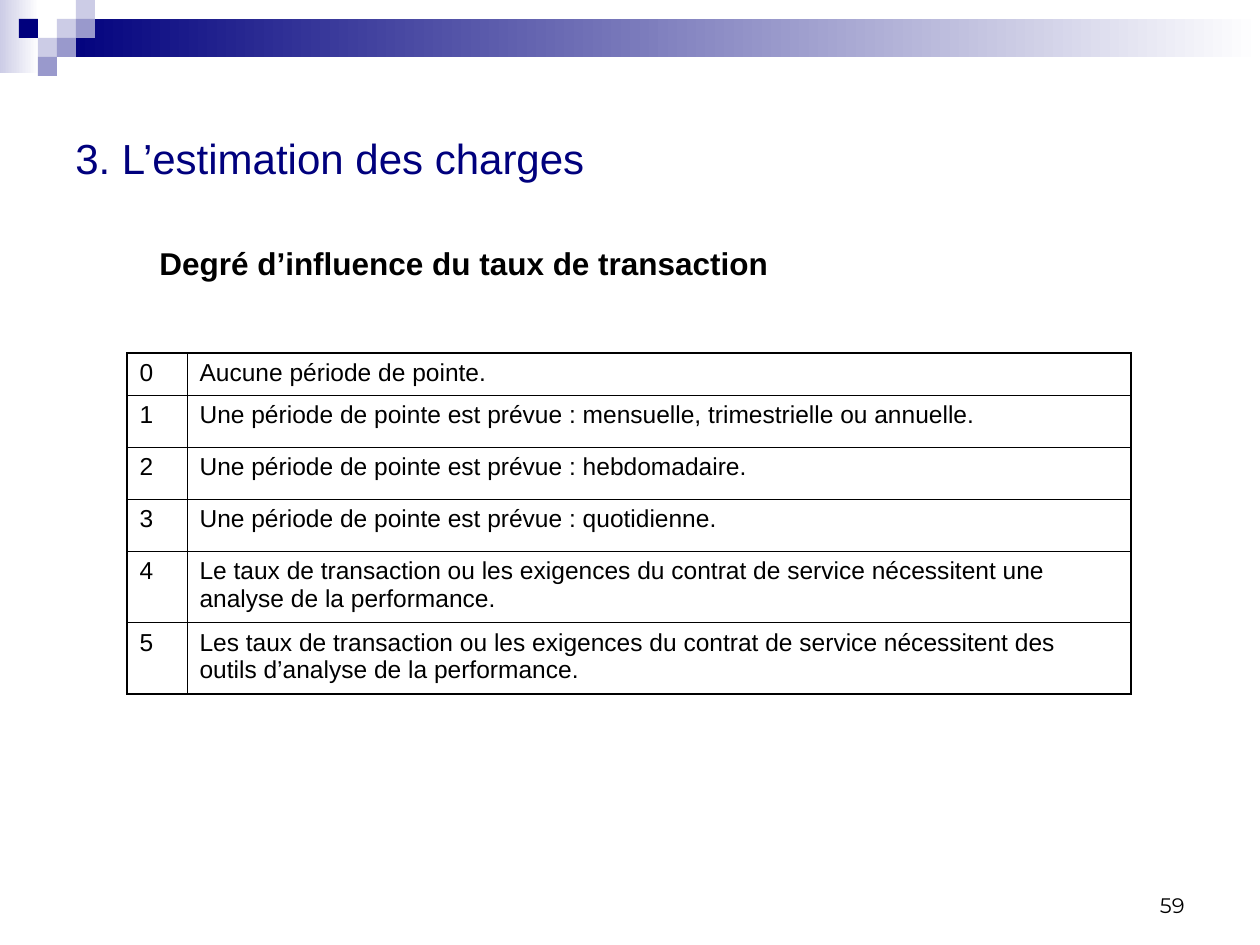
from lxml import etree
from pptx import Presentation
from pptx.dml.color import RGBColor
from pptx.enum.shapes import MSO_SHAPE
from pptx.enum.text import MSO_ANCHOR, PP_ALIGN
from pptx.oxml.ns import qn
from pptx.util import Emu, Pt

RECT = MSO_SHAPE.RECTANGLE
TOP, MIDDLE, BOTTOM = MSO_ANCHOR.TOP, MSO_ANCHOR.MIDDLE, MSO_ANCHOR.BOTTOM
LEFT, RIGHT = PP_ALIGN.LEFT, PP_ALIGN.RIGHT
SCALE = 914400 / 126
NAVY, LILAC, PALE, WHITE, BLACK = "00007D", "9999CC", "CCCCE6", "FFFFFF", "000000"
UNIT = 19
THIN, THICK = 0.45, 1.08
SQUARES = [
    (3, 1, PALE), (4, 0, PALE), (4, 1, LILAC), (2, 2, PALE),
    (1, 1, NAVY), (3, 2, LILAC), (2, 3, LILAC),
]
BODY = {"name": "Arial", "size": Pt(14), "bold": False}
HEAD = {"name": "Arial", "size": Pt(24), "bold": False}
SUB = {"name": "Arial", "size": Pt(18), "bold": True}
PAGE = {"name": "Montserrat", "size": Pt(12), "bold": False}
COLS = [60, 944]
ROWS = [
    (41, "Aucune période de pointe."),
    (52, "Une période de pointe est prévue : mensuelle, trimestrielle ou annuelle."),
    (52, "Une période de pointe est prévue : hebdomadaire."),
    (52, "Une période de pointe est prévue : quotidienne."),
    (71, "Le taux de transaction ou les exigences du contrat de service "
         "nécessitent une analyse de la performance."),
    (71, "Les taux de transaction ou les exigences du contrat de service "
         "nécessitent des outils d’analyse de la performance."),
]


def px(num):
    return Emu(round(num * SCALE))


def rgb(code):
    return RGBColor.from_string(code)


def style(font, form, color):
    for key, val in form.items():
        setattr(font, key, val)
    font.color.rgb = rgb(color)


def block(slide, box, *colors):
    shape = slide.shapes.add_shape(RECT, *map(px, box))
    shape.shadow.inherit = False
    shape.line.fill.background()
    if len(colors) == 1:
        shape.fill.solid()
        shape.fill.fore_color.rgb = rgb(colors[0])
        return
    shape.fill.gradient()
    shape.fill.gradient_angle = 0
    for stop, color in zip(shape.fill.gradient_stops, colors):
        stop.color.rgb = rgb(color)


def banner(slide, box):
    x, y, w, h = box
    block(slide, (x, y, 2 * UNIT + 1, h), PALE, WHITE)
    block(slide, (x + 3 * UNIT, y + UNIT, w - 3 * UNIT, 2 * UNIT), NAVY, WHITE)
    for col, row, color in SQUARES:
        block(slide, (x + col * UNIT, y + row * UNIT, UNIT, UNIT), color)


def label(slide, box, text, form, color=BLACK, anchor=TOP, align=LEFT):
    frame = slide.shapes.add_textbox(*map(px, box)).text_frame
    frame.word_wrap = True
    frame.vertical_anchor = anchor
    para = frame.paragraphs[0]
    para.alignment = align
    para.text = text
    style(para.font, form, color)


def edge(cell, side, width):
    line = etree.SubElement(cell._tc.get_or_add_tcPr(), qn("a:ln" + side), w=str(Pt(width)))
    fill = etree.SubElement(line, qn("a:solidFill"))
    etree.SubElement(fill, qn("a:srgbClr"), val=BLACK)


def grid(slide, box):
    count = len(ROWS)
    frame = slide.shapes.add_table(count, len(COLS), *map(px, box))
    table = frame.table
    table.first_row = table.horz_banding = False
    for col, width in zip(table.columns, COLS):
        col.width = px(width)
    for i, (height, text) in enumerate(ROWS):
        table.rows[i].height = px(height)
        for j, words in enumerate((str(i), text)):
            cell = table.cell(i, j)
            para = cell.text_frame.paragraphs[0]
            para.text = words
            style(para.font, BODY, BLACK)
            outer = {"L": j == 0, "R": j == 1, "T": i == 0, "B": i == count - 1}
            for side, rim in outer.items():
                edge(cell, side, THICK if rim else THIN)
            cell.fill.background()


def main():
    deck = Presentation()
    deck.slide_width, deck.slide_height = px(1260), px(945)
    slide = deck.slides.add_slide(deck.slide_layouts[6])
    banner(slide, (0, 0, 1260, 73))
    label(slide, (903, 861, 294, 63), "59", PAGE, anchor=BOTTOM, align=RIGHT)
    label(slide, (63, 63, 1134, 189), "3. L’estimation des charges", HEAD, NAVY, MIDDLE)
    label(slide, (147, 238, 1050, 50), "Degré d’influence du taux de transaction", SUB)
    grid(slide, (127, 353, sum(COLS), sum(row[0] for row in ROWS)))
    deck.save("out.pptx")


if __name__ == "__main__":
    main()
